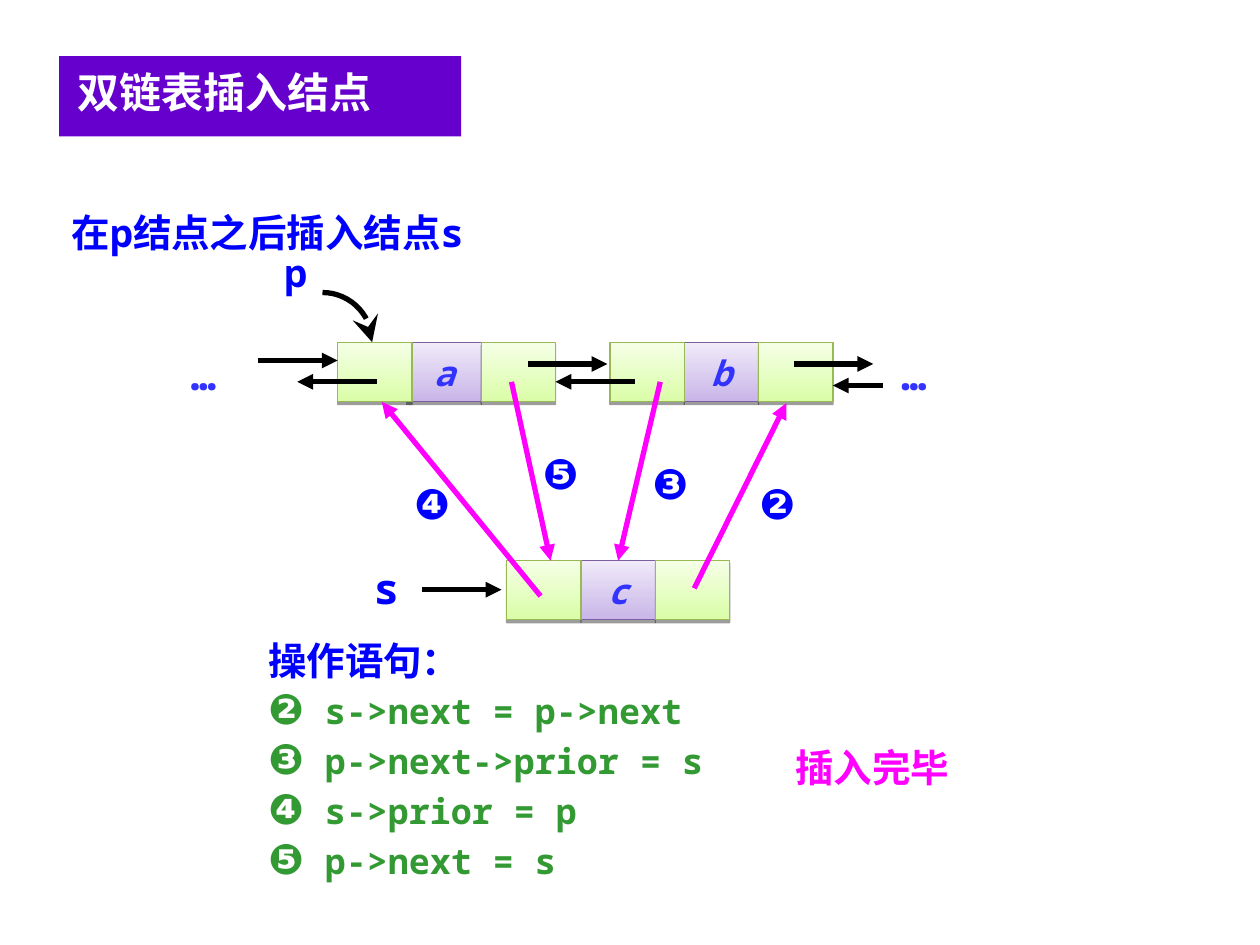
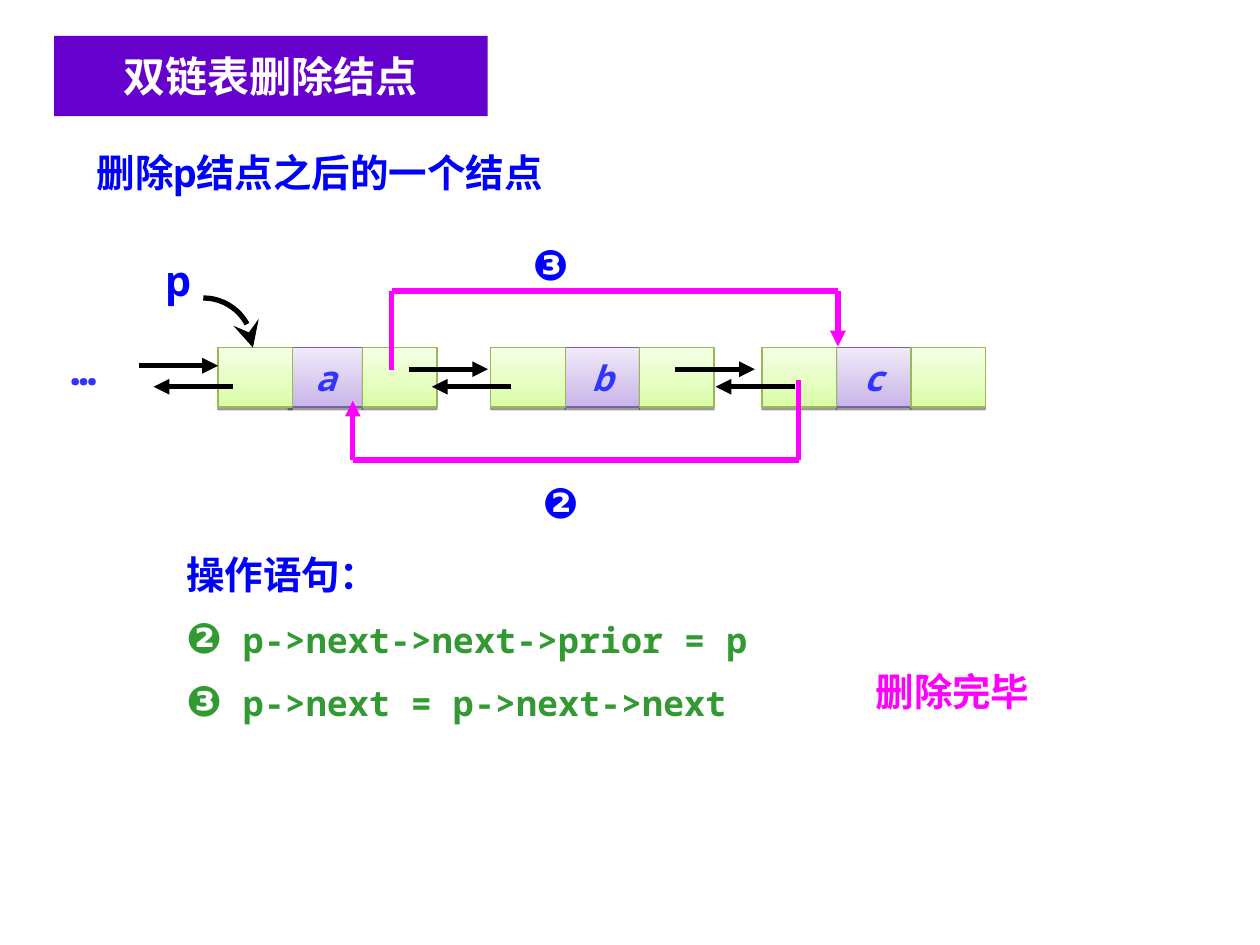
import math
from dataclasses import dataclass

from lxml import etree
from pptx import Presentation
from pptx.dml.color import RGBColor
from pptx.enum.shapes import MSO_CONNECTOR, MSO_SHAPE
from pptx.enum.text import MSO_ANCHOR, MSO_AUTO_SIZE, PP_ALIGN
from pptx.oxml.ns import qn
from pptx.util import Pt

RECT = MSO_SHAPE.RECTANGLE
STRAIGHT = MSO_CONNECTOR.STRAIGHT
LEFT, CENTER = PP_ALIGN.LEFT, PP_ALIGN.CENTER
TOP, MIDDLE = MSO_ANCHOR.TOP, MSO_ANCHOR.MIDDLE
GROW = MSO_AUTO_SIZE.SHAPE_TO_FIT_TEXT
TOP_SIDE = 0


@dataclass(frozen=True)
class Theme:
    font: str = "Noto Sans Mono"
    mark_font: str = "Arial"
    band: str = "6600CC"
    white: str = "FFFFFF"
    blue: str = "0000FF"
    data: str = "3333FF"
    code: str = "339933"
    link: str = "FF00FF"
    black: str = "000000"
    # bottom of the gradient, top of the gradient, border
    data_cell: tuple = ("C9B5E8", "F0EAF9", "7D60A0")
    link_cell: tuple = ("DAFDA7", "F5FFE6", "98B954")
    title: int = 24
    body: int = 22
    small: int = 20
    mark: int = 24
    stroke: int = 3
    border: float = 0.75


T = Theme()
CELL_W, CELL_H = 42.5, 33.84
HOOK_R = 28.4
INSETS = (7.2, 3.6, 7.2, 3.6)
LABEL = (33.84, 36)
DOTS = (45.36, 36)

# nodes: letter, left, top, overlap of the prior and data cells
# arrows: x, y, signed length
# links: mark, label position, points, letter of the node joined at the end
SLIDES = [
    dict(
        title="双链表插入结点", title_at=(33.84, 32, 229.7, 46),
        title_insets=(10.5, 5.8, 13, 11.5), title_align=LEFT,
        subtitle="在p结点之后插入结点s", subtitle_at=(33.84, 115.9, 311.8, 33.84),
        nodes=[("a", 193, 195.8, 3), ("b", 348.5, 195.8, 0), ("c", 289.5, 320.4, 0)],
        arrows=[(147.6, 206, 45.4), (301.7, 208, 45.4), (453.6, 208, 45.4),
                (215.3, 218.2, -45.4), (362.9, 218.2, -45.4),
                (504.7, 220.3, -28.8), (241.2, 337, 45.4)],
        hook=(184.3, 167.2),
        names=[("p", 155.5, 139, T.body), ("s", 206.6, 318.2, T.title)],
        dots=[(93.6, 195.8), (499.7, 195.8)],
        links=[
            ("❷", (427, 269.3), [(396.7, 336.2), (449.3, 230.4)], None),
            ("❸", (365.8, 257.8), [(377.3, 218.2), (353.3, 320.4)], "c"),
            ("❹", (229.7, 269.3), [(308.9, 340.6), (218.2, 229.7)], None),
            ("❺", (303.1, 252), [(292.3, 218.2), (314.6, 320.4)], None),
        ],
        steps=[("❷", "s->next = p->next"), ("❸", "p->next->prior = s"),
               ("❹", "s->prior = p"), ("❺", "p->next = s")],
        steps_at=(146.2, 370.8, 281.5, 137.5), leading=16,
        done="插入完毕", done_at=(416.2, 421.9, 164.2, 33.84),
    ),
    dict(
        title="双链表删除结点", title_at=(31, 20.5, 247.7, 46),
        title_insets=(13, 8.6, 13, 8.6), title_align=CENTER,
        subtitle="删除p结点之后的一个结点", subtitle_at=(48.2, 81.4, 391, 33.84),
        nodes=[("a", 124.5, 198.7, 2.3), ("b", 280.5, 198.7, 0), ("c", 435.5, 198.7, 0)],
        arrows=[(79.2, 209, 45.4), (233.5, 211, 45.4), (386, 211, 45.4),
                (133.2, 221, -45.4), (292.2, 221, -45.4), (454.3, 221, -45.4)],
        hook=(116.2, 170.3),
        names=[("p", 87.8, 141.8, T.title)],
        dots=[(25.2, 193)],
        links=[
            ("❷", (303.1, 268.6),
             [(456.5, 217.4), (456.5, 262.8), (201.6, 262.8), (201.6, 229)], None),
            ("❸", (297.4, 132.5),
             [(223.9, 211.7), (223.9, 166.3), (478.8, 166.3), (478.8, 198)], None),
        ],
        steps=[("❷", "p->next->next->prior = p"), ("❸", "p->next = p->next->next")],
        steps_at=(99.4, 313.9, 362.9, 104.4), leading=24,
        done="删除完毕", done_at=(462.2, 378, 164.2, 33.84),
    ),
]


def rgb(color):
    return RGBColor.from_string(color)


def pts(values):
    return [Pt(v) for v in values]


def frame(sp, insets=INSETS, anchor=TOP, wrap=True):
    tf = sp.text_frame
    tf.margin_left, tf.margin_top, tf.margin_right, tf.margin_bottom = pts(insets)
    tf.vertical_anchor = anchor
    tf.word_wrap = wrap
    if wrap:
        tf.auto_size = GROW
    return tf


def add_run(p, text, size, color, font=T.font, italic=False):
    r = p.add_run()
    r.text = text
    f = r.font
    f.name, f.size, f.bold, f.italic = font, Pt(size), True, italic
    f.color.rgb = rgb(color)
    etree.SubElement(r.font._element, qn("a:ea"), typeface=font)


def add_text(shapes, at, text, size, color, align=LEFT, font=T.font):
    tf = frame(shapes.add_textbox(*pts(at)))
    p = tf.paragraphs[0]
    p.alignment = align
    p.space_before = Pt(size * 0.625)
    add_run(p, text, size, color, font)


def add_title(s, spec_):
    sp = s.shapes.add_shape(RECT, *pts(spec_["title_at"]))
    sp.shadow.inherit = False
    sp.fill.solid()
    sp.fill.fore_color.rgb = rgb(T.band)
    sp.line.fill.background()
    p = frame(sp, spec_["title_insets"]).paragraphs[0]
    p.alignment = spec_["title_align"]
    add_run(p, spec_["title"], T.title, T.white)


def add_cell(s, left, top, style):
    low, high, border = style
    sp = s.shapes.add_shape(RECT, *pts((left, top, CELL_W, CELL_H)))
    sp.fill.gradient()
    sp.fill.gradient_angle = 90
    for stop, color in zip(sp.fill.gradient_stops, (low, high)):
        stop.color.rgb = rgb(color)
    sp.line.color.rgb = rgb(border)
    sp.line.width = Pt(T.border)
    sp.shadow.inherit = False
    effects = sp.element.spPr.find(qn("a:effectLst"))
    shadow = etree.SubElement(effects, qn("a:outerShdw"), blurRad="0",
                              dist=str(Pt(1.6)), dir="5400000", rotWithShape="0")
    tint = etree.SubElement(shadow, qn("a:srgbClr"), val=T.black)
    etree.SubElement(tint, qn("a:alpha"), val="38000")
    return sp


def add_node(s, letter, left, top, overlap):
    """Draw a prior | data | next node and return its data cell."""
    data_left = left + CELL_W - overlap
    data = add_cell(s, data_left, top, T.data_cell)
    p = frame(data, anchor=MIDDLE, wrap=False).paragraphs[0]
    p.alignment = CENTER
    add_run(p, letter, T.small, T.data, italic=True)
    add_cell(s, data_left + CELL_W, top, T.link_cell)
    add_cell(s, left, top, T.link_cell)
    return data


def stroke(sp, color, head=None, size="med"):
    sp.line.color.rgb = rgb(color)
    sp.line.width = Pt(T.stroke)
    if head:
        etree.SubElement(sp.line._get_or_add_ln(), qn("a:tailEnd"),
                         type=head, w=size, len=size)


def add_line(shapes, start, end, color, head="triangle"):
    cx = shapes.add_connector(STRAIGHT, *pts((*start, *end)))
    stroke(cx, color, head)
    etree.SubElement(cx.element.spPr, qn("a:effectLst"))
    return cx


def add_hook(s, left, top):
    """Draw a quarter circle that bends down to the node p points at."""
    angles = [math.radians(a) for a in range(0, 91, 6)]
    points = [(left + HOOK_R * math.sin(a), top + HOOK_R * (1 - math.cos(a)))
              for a in angles]
    fb = s.shapes.build_freeform(*pts(points[0]))
    fb.add_line_segments([pts(pt) for pt in points[1:]], close=False)
    sp = fb.convert_to_shape()
    sp.shadow.inherit = False
    sp.fill.background()
    stroke(sp, T.black, "stealth", "lg")


def add_link(s, mark, label_at, points, target):
    shapes = s.shapes.add_group_shape().shapes
    last = len(points) - 2
    for i, (start, end) in enumerate(zip(points, points[1:])):
        cx = add_line(shapes, start, end, T.link, "triangle" if i == last else None)
    if target is not None:
        cx.end_connect(target, TOP_SIDE)
    add_text(shapes, (*label_at, *LABEL), mark, T.mark, T.blue, font=T.mark_font)


def add_steps(s, at, steps, leading):
    tf = frame(s.shapes.add_textbox(*pts(at)))
    p = tf.paragraphs[0]
    p.line_spacing, p.space_before = Pt(leading), Pt(13.8)
    add_run(p, "操作语句：", T.body, T.blue)
    for mark, code in steps:
        p = tf.add_paragraph()
        p.line_spacing, p.space_before = Pt(leading), Pt(12.5)
        add_run(p, mark, T.mark, T.code, T.mark_font)
        add_run(p, " " + code, T.small, T.code)


def build(prs, d):
    s = prs.slides.add_slide(prs.slide_layouts[6])
    data_cells = {node[0]: add_node(s, *node) for node in d["nodes"]}
    for x, y, length in d["arrows"]:
        add_line(s.shapes, (x, y), (x + length, y), T.black)
    add_hook(s, *d["hook"])
    for name, x, y, size in d["names"]:
        add_text(s.shapes, (x, y, *LABEL), name, size, T.blue)
    for at in d["dots"]:
        add_text(s.shapes, (*at, *DOTS), "…", T.title, T.data, CENTER)
    add_steps(s, d["steps_at"], d["steps"], d["leading"])
    for mark, label_at, points, target in d["links"]:
        add_link(s, mark, label_at, points, data_cells.get(target))
    add_text(s.shapes, d["subtitle_at"], d["subtitle"], T.body, T.blue)
    add_title(s, d)
    add_text(s.shapes, d["done_at"], d["done"], T.body, T.link, CENTER)


def main():
    prs = Presentation()
    prs.slide_width, prs.slide_height = Pt(720), Pt(540)
    for d in SLIDES:
        build(prs, d)
    prs.save("out.pptx")


if __name__ == "__main__":
    main()
